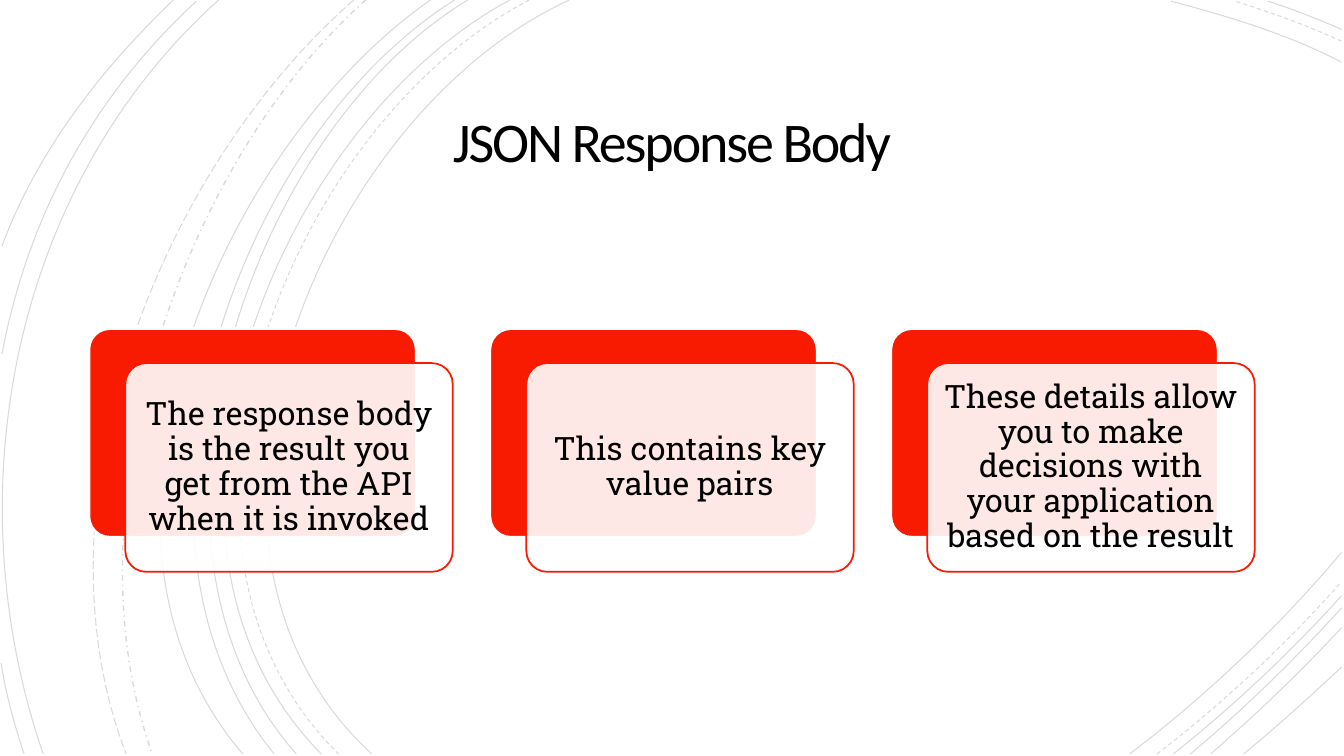
import pptx
import pptx.util
import pptx.dml.color
import pptx.enum.dml
import pptx.enum.shapes
import pptx.enum.text
import pptx.oxml.ns
import lxml.etree

Cm, Pt = pptx.util.Cm, pptx.util.Pt
qn = pptx.oxml.ns.qn
MSO_SHAPE = pptx.enum.shapes.MSO_SHAPE
RED, WHITE, BLACK = "F81B02", "FFFFFF", "000000"
DASH = pptx.enum.dml.MSO_LINE.DASH
LONG_DASH = pptx.enum.dml.MSO_LINE.LONG_DASH
DASH_DOT = pptx.enum.dml.MSO_LINE.DASH_DOT
BOTTOM = 19

# Tall arcs run from the top edge to BOTTOM:
# top x, first control x, y, second control x, y, bottom x, dash
TALL_ARCS = [
    (14.35, 8, 2.92, 3.63, 13.72, 9.37, None),
    (13.34, 7.24, 3.18, 3.12, 13.64, 8.53, DASH),
    (12.85, 6.86, 3.23, 2.79, 13.64, 8.1, None),
    (11.79, 6.2, 3.38, 2.79, 13.74, 7.47, None),
    (11.46, 5.87, 3.51, 2.46, 13.54, 6.91, None),
    (10.85, 5.51, 3.73, 1.35, 13.44, 6.12, None),
    (9.22, 4.47, 4.22, 1.65, 12.93, 3.84, DASH_DOT),
    (8.92, 3.99, 4.29, 0.74, 12.67, 3.18, LONG_DASH),
    (5.51, 0.28, 4.7, -1.17, 12.45, 1.09, None),
]
# Corner arcs: start, two control points, end, dash
CORNER_ARCS = [
    ((33.81, 1.57), (32.46, 0.86), (30.94, 0.41), (29.51, 0.03), None),
    ((33.81, 1.04), (32.94, 0.64), (32, 0.3), (31.12, 0.03), DASH),
    ((33.81, 0.74), (33.2, 0.48), (32.59, 0.23), (31.95, 0.03), None),
    ((28.47, BOTTOM), (30.4, 17.53), (32.23, 15.8), (33.81, 13.92), None),
    ((29.16, BOTTOM), (30.81, 17.73), (32.39, 16.26), (33.81, 14.66), DASH),
    ((29.57, BOTTOM), (31.06, 17.81), (32.51, 16.46), (33.81, 15.01), None),
    ((30, BOTTOM), (31.34, 17.88), (32.61, 16.64), (33.81, 15.32), None),
    ((30.51, BOTTOM), (31.65, 18.01), (32.77, 16.94), (33.81, 15.82), None),
    ((31.34, BOTTOM), (32.18, 18.31), (32.99, 17.58), (33.81, 16.81), None),
    ((4.95, 0.03), (2.34, 2.44), (0.71, 5.44), (0.05, 8.92), None),
    ((0.03, 16.71), (0.15, 17.5), (0.36, 18.26), (0.61, BOTTOM), None),
    ((4.37, 0), (2.54, 1.75), (0.94, 3.81), (0.05, 6.2), None),
]
CARDS = [
    "The response body is the result you get from the API when it is invoked",
    "This contains key value pairs",
    "These details allow you to make decisions with your application "
    "based on the result",
]


def rgb(color):
    """Turn a hex string into a colour."""
    return pptx.dml.color.RGBColor.from_string(color)


def set_alpha(sp, percent):
    """Set the opacity of the first solid colour of a shape."""
    clr = next(sp._element.spPr.iter(qn("a:srgbClr")))
    alpha = lxml.etree.SubElement(clr, qn("a:alpha"))
    alpha.set("val", str(percent * 1000))


def bend(sp):
    """Turn the three line segments of a freeform into one cubic curve."""
    outline = next(sp._element.spPr.iter(qn("a:pathLst")))[0]
    segments = outline.findall(qn("a:lnTo"))
    curve = lxml.etree.SubElement(outline, qn("a:cubicBezTo"))
    for segment in segments:
        curve.append(segment[0])
        outline.remove(segment)


def add_arc(s, left, top, p0, p1, p2, p3, dash):
    """Draw one faint curve."""
    points = [(Cm(left + x), Cm(top + y)) for x, y in (p0, p1, p2, p3)]
    fb = s.shapes.build_freeform(*points[0])
    fb.add_line_segments(points[1:], close=False)
    sp = fb.convert_to_shape()
    bend(sp)
    sp.shadow.inherit = False
    sp.fill.background()
    sp.line.color.rgb = rgb(BLACK)
    sp.line.width = Pt(1 if dash == DASH_DOT else 0.75)
    if dash:
        sp.line.dash_style = dash
    set_alpha(sp, 15)


def add_backdrop(s, left, top):
    """Draw all background arcs."""
    for x0, x1, y1, x2, y2, x3, dash in TALL_ARCS:
        add_arc(s, left, top, (x0, 0), (x1, y1), (x2, y2), (x3, BOTTOM), dash)
    for arc in CORNER_ARCS:
        add_arc(s, left, top, *arc)


def set_text(sp, text, font, size, spacing, inset):
    """Fill a shape with one centred paragraph and return it."""
    tf = sp.text_frame
    tf.word_wrap = True
    tf.vertical_anchor = pptx.enum.text.MSO_ANCHOR.MIDDLE
    tf.margin_left = tf.margin_right = Cm(inset)
    tf.margin_top = tf.margin_bottom = Cm(inset)
    p = tf.paragraphs[0]
    p.text = text
    p.alignment = pptx.enum.text.PP_ALIGN.CENTER
    p.line_spacing = spacing
    p.font.name, p.font.size = font, Pt(size)
    p.font.color.rgb = rgb(BLACK)
    return p


def add_title(s, left, top, width, height):
    """Add the slide title."""
    sp = s.shapes.add_textbox(Cm(left), Cm(top), Cm(width), Cm(height))
    p = set_text(sp, "JSON Response Body", "Calibri", 40, 0.85, 0.64)
    p.runs[0]._r.get_or_add_rPr().set("spc", "-150")


def add_panel(s, left, top, width, height, fill, line, weight):
    """Add one rounded panel."""
    sp = s.shapes.add_shape(MSO_SHAPE.ROUNDED_RECTANGLE, Cm(left), Cm(top),
                            Cm(width), Cm(height))
    sp.adjustments[0] = 0.1
    sp.shadow.inherit = False
    sp.fill.solid()
    sp.fill.fore_color.rgb = rgb(fill)
    sp.line.color.rgb = rgb(line)
    sp.line.width = Pt(weight)
    return sp


def add_card(s, left, top, width, height, text):
    """Add a red panel with a translucent text panel offset over it."""
    dx, dy = 0.92, 0.87
    w, h = width - dx, height - dy
    add_panel(s, left, top, w, h, RED, WHITE, 2)
    front = add_panel(s, left + dx, top + dy, w, h, WHITE, RED, 1.25)
    set_alpha(front, 90)
    set_text(front, text, "Roboto Slab", 23, 0.9, 0.25)


def add_cards(s, left, top, width, height):
    """Spread the cards evenly over the box."""
    card_width = 9.17
    pitch = (width - card_width) / (len(CARDS) - 1)
    for i, text in enumerate(CARDS):
        add_card(s, left + i * pitch, top, card_width, height, text)


prs = pptx.Presentation()
prs.slide_width, prs.slide_height = Cm(33.87), Cm(19.05)
s = prs.slides.add_slide(prs.slide_layouts[6])
s.background.fill.solid()
s.background.fill.fore_color.rgb = rgb(WHITE)
add_backdrop(s, 0, 0)
add_title(s, 4.88, 2.21, 24.1, 2.92)
add_cards(s, 2.24, 8.28, 29.38, 6.13)
prs.save("out.pptx")
